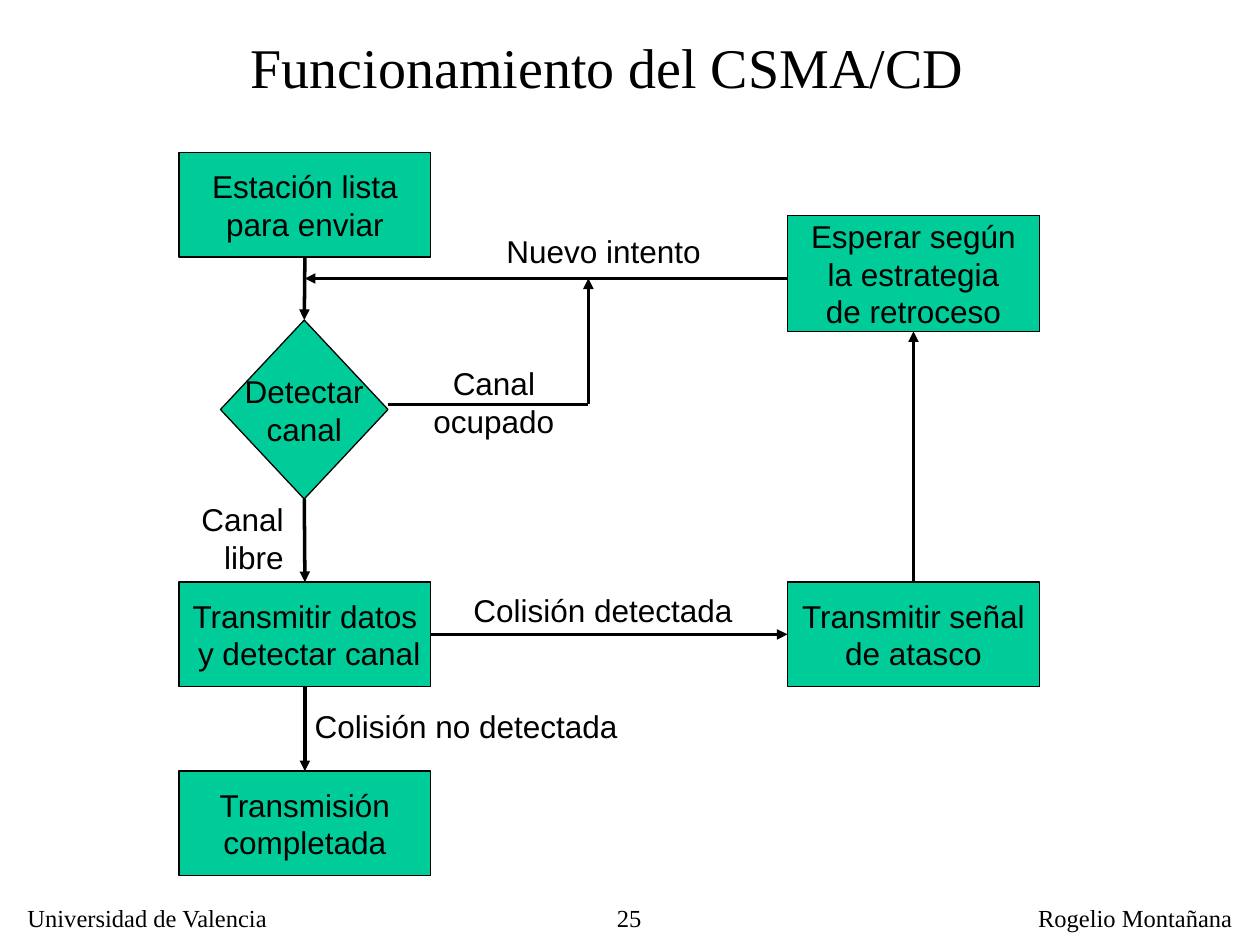
from dataclasses import dataclass
from pptx import Presentation
from pptx.dml.color import RGBColor
from pptx.enum import shapes, text
from pptx.oxml import ns, xmlchemy
from pptx.util import Inches, Pt

ALIGN = text.PP_ALIGN
FIT = text.MSO_AUTO_SIZE
SHAPE = shapes.MSO_SHAPE
TOP, LEFT, BOTTOM, RIGHT = range(4)


@dataclass(frozen=True)
class Theme:
    """Colours, fonts and sizes of the slide."""
    ink: RGBColor = RGBColor(0, 0, 0)
    node: RGBColor = RGBColor(0x00, 0xCC, 0x99)
    serif: str = "Times New Roman"
    sans: str = "Arial"
    heading: Pt = Pt(32)
    body: Pt = Pt(18)
    small: Pt = Pt(14)
    outline: Pt = Pt(0.75)
    arrow: Pt = Pt(2)


THEME = Theme()


@dataclass(frozen=True)
class Box:
    """Region in inches that places parts from its own corner."""
    left: float
    top: float
    width: float
    height: float

    def point(self, x, y):
        """Return a slide position for an offset within the box."""
        return Inches(self.left + x), Inches(self.top + y)

    def frame(self, x, y, width, height):
        """Return the slide position and size of a part of the box."""
        return *self.point(x, y), Inches(width), Inches(height)


def write(frame, wording, font, size, align=ALIGN.CENTER,
          anchor=text.MSO_ANCHOR.TOP, fit=FIT.SHAPE_TO_FIT_TEXT):
    """Fill a text frame with one paragraph for each line of wording."""
    frame.text = wording
    layout = {"word_wrap": False, "vertical_anchor": anchor, "auto_size": fit}
    for name, value in layout.items():
        setattr(frame, name, value)
    for paragraph in frame.paragraphs:
        paragraph.alignment = align
        for name, value in {"name": font, "size": size}.items():
            setattr(paragraph.font, name, value)
        paragraph.font.color.rgb = THEME.ink


def add_label(slide, place, wording, font=THEME.sans, size=THEME.body,
              align=ALIGN.CENTER):
    """Add free-standing text."""
    label = slide.shapes.add_textbox(*place)
    write(label.text_frame, wording, font, size, align)


def add_node(slide, place, wording, outline=SHAPE.RECTANGLE):
    """Add one step of the flow chart."""
    node = slide.shapes.add_shape(outline, *place)
    node.shadow.inherit = False
    node.fill.solid()
    node.fill.fore_color.rgb = THEME.node
    node.line.color.rgb = THEME.ink
    node.line.width = THEME.outline
    write(node.text_frame, wording, THEME.sans, THEME.body,
          anchor=text.MSO_ANCHOR.MIDDLE, fit=FIT.NONE)
    return node


def add_line(slide, start=(0, 0), end=(0, 0), head=True):
    """Add a straight line, with an arrowhead at its end if asked."""
    line = slide.shapes.add_connector(shapes.MSO_CONNECTOR.STRAIGHT, *start, *end)
    line.line.color.rgb = THEME.ink
    line.line.width = THEME.arrow
    if head:
        tail = xmlchemy.OxmlElement("a:tailEnd")
        tail.set("type", "triangle")
        line.line._get_or_add_ln().append(tail)
    line._element.spPr.append(
        line._element.makeelement(ns.qn("a:effectLst"), {}))
    return line


def join(slide, source, source_side, target, target_side):
    """Join the sides of two steps with an arrow."""
    arrow = add_line(slide)
    arrow.begin_connect(source, source_side)
    arrow.end_connect(target, target_side)


def build_title(slide, box):
    """Place the heading."""
    title = slide.shapes.title
    places = zip(("left", "top", "width", "height"),
                 box.frame(0, 0, box.width, box.height))
    for name, value in places:
        setattr(title, name, value)
    write(title.text_frame, "Funcionamiento del CSMA/CD", THEME.serif, THEME.heading)


def build_flow(slide, box):
    """Place the steps, arrows and labels of the flow chart."""
    width, height = 2, 0.83
    right = box.width - width
    send_top, retry_y, busy_y, busy_x = 3.41, 1, 2, 3.25

    detect = add_node(slide, box.frame(0.33, 1.33, 1.33, 1.42),
                      "Detectar\ncanal", SHAPE.DIAMOND)
    ready = add_node(slide, box.frame(0, 0, width, height),
                     "Estación lista\npara enviar")
    done = add_node(slide, box.frame(0, box.height - height, width, height),
                    "Transmisión\ncompletada")
    send = add_node(slide, box.frame(0, send_top, width, height),
                    "Transmitir datos\n y detectar canal")
    jam = add_node(slide, box.frame(right, send_top, width, height),
                   "Transmitir señal\nde atasco")
    wait = add_node(slide, box.frame(right, 0.5, width, 0.92),
                    "Esperar según\nla estrategia\nde retroceso")

    for link in ((ready, BOTTOM, detect, TOP), (detect, BOTTOM, send, TOP),
                 (jam, TOP, wait, BOTTOM), (send, RIGHT, jam, LEFT),
                 (send, BOTTOM, done, TOP)):
        join(slide, *link)

    corner = box.point(busy_x, busy_y)
    add_line(slide, box.point(right, retry_y), box.point(width / 2, retry_y))
    add_line(slide, box.point(1.66, busy_y), corner, head=False)
    add_line(slide, corner, box.point(busy_x, retry_y))

    for place, wording, align in (
            ((2.19, 3.43, 2.35, 0.4), "Colisión detectada", ALIGN.CENTER),
            ((2.5, 0.58, 1.74, 0.4), "Nuevo intento", ALIGN.CENTER),
            ((1.92, 1.63, 1.16, 0.7), "Canal\nocupado", ALIGN.CENTER),
            ((0.08, 2.71, 0.85, 0.7), "Canal\nlibre", ALIGN.RIGHT),
            ((0.93, 4.35, 2.7, 0.4), "Colisión no detectada", ALIGN.CENTER)):
        add_label(slide, box.frame(*place), wording, align=align)


def build_footer(slide, box):
    """Place the institution, page number and author."""
    for x, width, wording, align in (
            (0, 2.13, "Universidad de Valencia", ALIGN.LEFT),
            (4.63, 0.44, "25", ALIGN.RIGHT),
            (box.width - 1.74, 1.74, "Rogelio Montañana", ALIGN.LEFT)):
        add_label(slide, box.frame(x, 0, width, box.height), wording,
                  THEME.serif, THEME.small, align)


def main():
    """Build and save the slide."""
    deck = Presentation()
    deck.slide_width, deck.slide_height = Inches(10), Inches(7.5)
    slide = deck.slides.add_slide(deck.slide_layouts.get_by_name("Title Only"))
    build_footer(slide, Box(0.12, 7.12, 9.76, 0.34))
    build_flow(slide, Box(1.42, 1.21, 6.83, 5.74))
    build_title(slide, Box(1.79, 0.21, 6.06, 0.64))
    deck.save("out.pptx")


if __name__ == "__main__":
    main()
